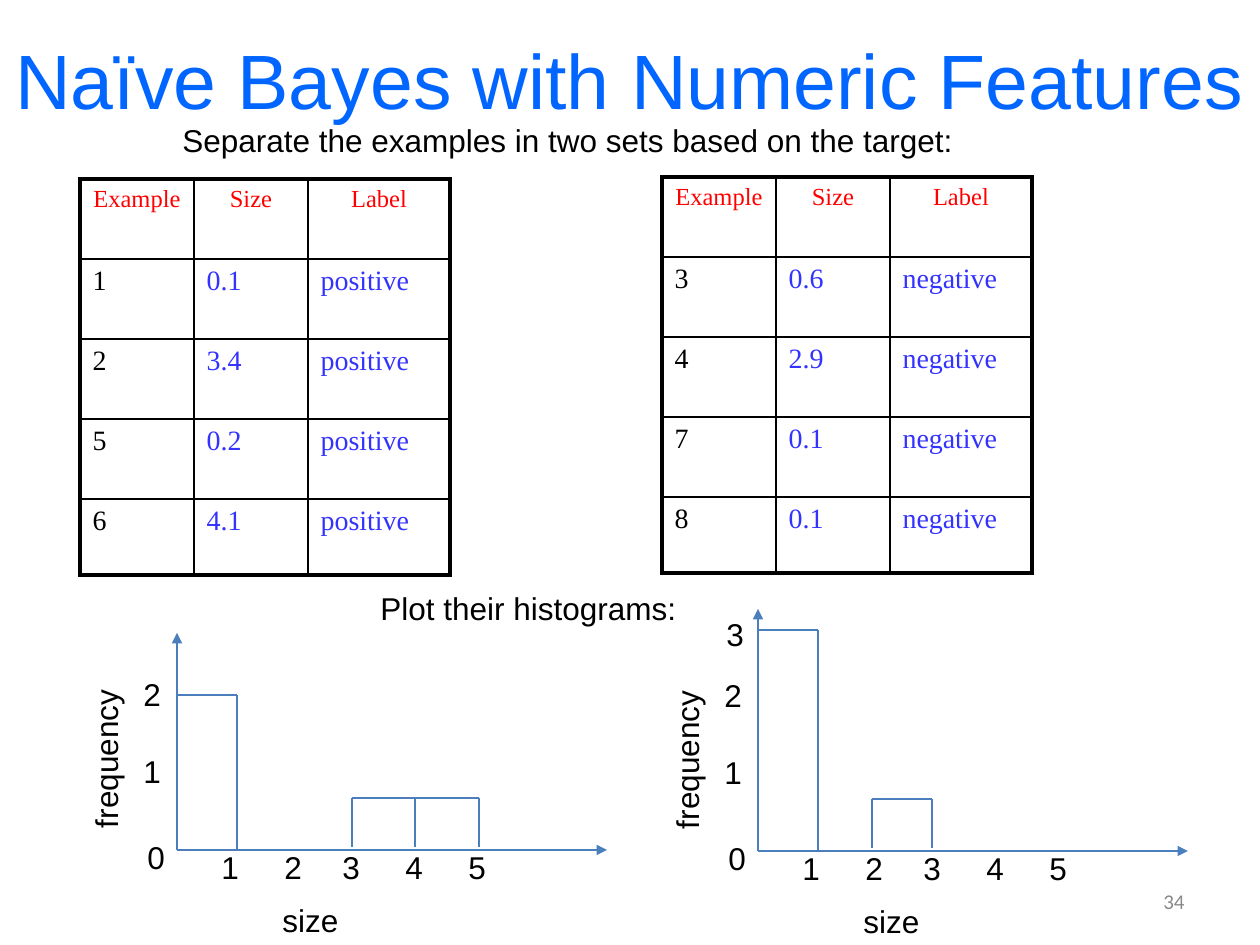
from itertools import pairwise
from lxml.etree import SubElement
from pptx import Presentation
from pptx.dml.color import RGBColor
from pptx.enum.shapes import MSO_CONNECTOR
from pptx.enum.text import MSO_ANCHOR, MSO_AUTO_SIZE, PP_ALIGN
from pptx.oxml.ns import qn
from pptx.util import Emu, Pt

PX = 914400 / 126
hue = RGBColor.from_string
BLACK, RED, BLUE = "000000", "FF0000", "3333FF"


def write(frame, text, size=18, font="Arial", color=BLACK, align=PP_ALIGN.LEFT,
          anchor=MSO_ANCHOR.TOP, wrap=False):
    frame.word_wrap = wrap
    frame.vertical_anchor = anchor
    if not wrap:
        frame.auto_size = MSO_AUTO_SIZE.SHAPE_TO_FIT_TEXT
    para = frame.paragraphs[0]
    para.alignment = align
    run = para.add_run()
    run.text = text
    run.font.size = Pt(size)
    run.font.name = font
    run.font.color.rgb = hue(color)


def line(host, x1, y1, x2, y2, arrow=False):
    ends = [Emu(round(n * PX)) for n in (x1, y1, x2, y2)]
    wire = host.add_connector(MSO_CONNECTOR.STRAIGHT, *ends)
    wire.line.color.rgb = hue("4B7EBC")
    wire.line.width = Pt(0.75)
    if arrow:
        SubElement(wire.line._get_or_add_ln(), qn("a:tailEnd"), type="triangle")
    SubElement(wire._element.spPr, qn("a:effectLst"))


deck = Presentation()
deck.slide_width, deck.slide_height = Emu(round(1260 * PX)), Emu(round(945 * PX))
slide = deck.slides.add_slide(deck.slide_layouts[6])
shapes = slide.shapes

# Title, captions and page number
wide = {"wrap": True, "anchor": MSO_ANCHOR.MIDDLE}
for text, spot, form in [
    ("Naïve Bayes with Numeric Features", (0, 0, 1260, 157),
     dict(wide, size=44, color="0066FF", align=PP_ALIGN.CENTER)),
    ("Separate the examples in two sets based on the target:", (170, 115, 803, 50), {}),
    ("Plot their histograms:", (368, 583, 324, 50), {}),
    ("34", (903, 876, 294, 50),
     dict(wide, size=12, font="Calibri", color="898989", align=PP_ALIGN.RIGHT)),
]:
    box = shapes.add_textbox(*[Emu(round(n * PX)) for n in spot])
    write(box.text_frame, text, **form)

# Example tables, one for each label
heads = ("Example", "Size", "Label")
cols, rows = (114, 114, 142), (80, 80, 80, 80, 76)
for left, top, label, data in [
    (80, 179, "positive", [("1", "0.1"), ("2", "3.4"), ("5", "0.2"), ("6", "4.1")]),
    (662, 177, "negative", [("3", "0.6"), ("4", "2.9"), ("7", "0.1"), ("8", "0.1")]),
]:
    spot = [Emu(round(n * PX)) for n in (left, top, sum(cols), sum(rows))]
    table = shapes.add_table(len(rows), len(cols), *spot).table
    table.first_row = table.horz_banding = False
    for col, width in zip(table.columns, cols):
        col.width = Emu(round(width * PX))
    for row, height in zip(table.rows, rows):
        row.height = Emu(round(height * PX))
    for r, words in enumerate([heads] + [pair + (label,) for pair in data]):
        for c, word in enumerate(words):
            cell = table.cell(r, c)
            if r == 0:
                form = dict(size=14, color=RED, align=PP_ALIGN.CENTER)
            else:
                form = dict(size=16, color=BLUE if c else BLACK)
            write(cell.text_frame, word, font="Times New Roman", wrap=True, **form)
            # Thick outer frame, thin inner rules
            props = cell._tc.get_or_add_tcPr()
            outer = {"L": c == 0, "R": c == len(cols) - 1,
                     "T": r == 0, "B": r == len(rows) - 1}
            for side, thick in outer.items():
                edge = SubElement(props, qn(f"a:ln{side}"), w=str(Pt(2.25 if thick else 1)))
                fill = SubElement(edge, qn("a:solidFill"))
                SubElement(fill, qn("a:srgbClr"), val=BLACK)
            cell.fill.background()

# Histograms: every place is measured from the origin of the axes
ticks = [("0", -42, -18), ("1", -46, -104), ("2", -46, -181)]
ticks += [(str(n), x, -8) for n, x in enumerate((32, 95, 153, 216, 279), 1)]
for x0, y0, peak, tall, edges, extra in [
    (177, 850, 217, 155, (175, 238, 302), []),
    (758, 851, 242, 221, (114, 174), [("3", -44, -242)]),
]:
    plot = shapes.add_group_shape().shapes

    # Axes
    line(plot, x0, y0, x0, y0 - peak, arrow=True)
    line(plot, x0, y0, x0 + 430, y0, arrow=True)

    # Tall first bar
    line(plot, x0, y0 - tall, x0 + 60, y0 - tall)
    line(plot, x0 + 60, y0 - tall, x0 + 60, y0)

    # Low bars
    for x in edges:
        line(plot, x0 + x, y0 - 52, x0 + x, y0 - 3)
    for a, b in pairwise(edges):
        line(plot, x0 + a, y0 - 52, x0 + b, y0 - 52)

    # Tick and axis labels
    marks = [(text, x, y, 43, 0) for text, x, y in ticks + extra]
    marks += [("frequency", -154, -117, 165, 270), ("size", 93, 45, 82, 0)]
    for text, x, y, width, turn in marks:
        spot = [Emu(round(n * PX)) for n in (x0 + x, y0 + y, width, 50)]
        box = plot.add_textbox(*spot)
        box.rotation = turn
        write(box.text_frame, text)

deck.save("out.pptx")
